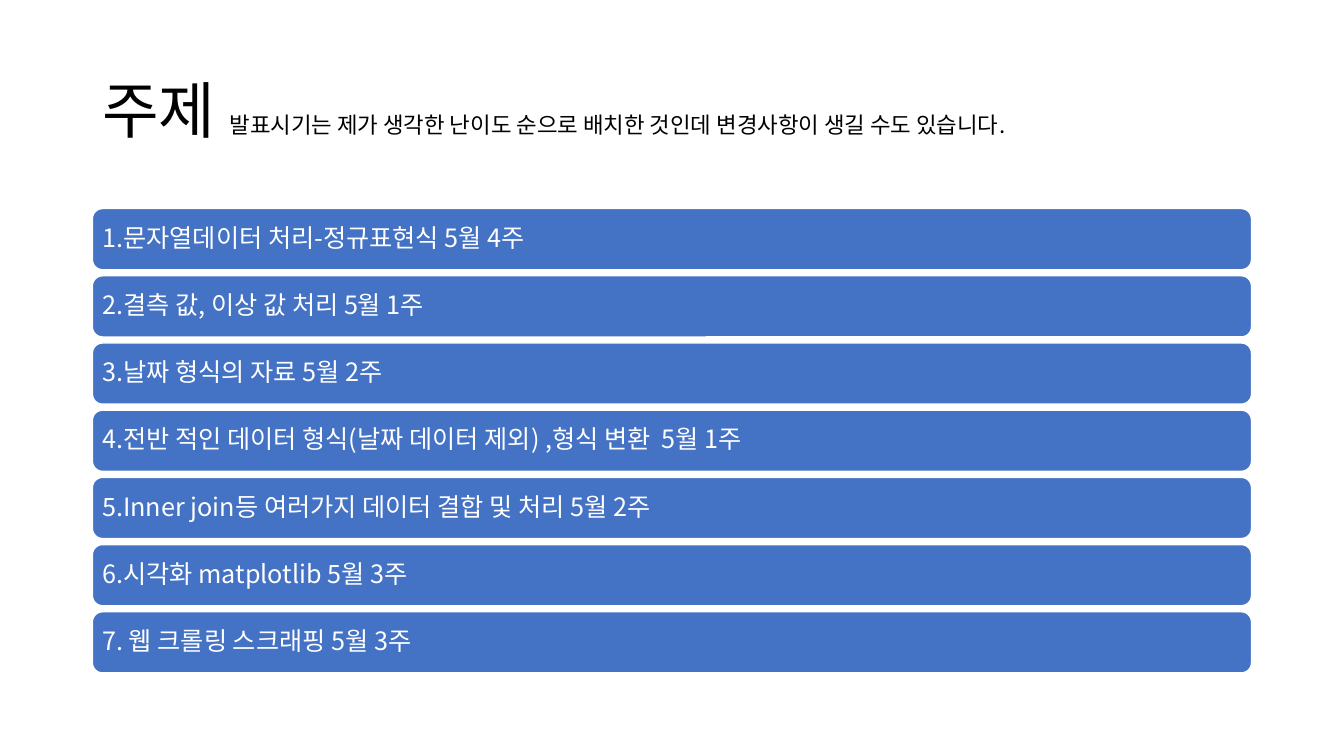
from dataclasses import dataclass

from lxml.etree import SubElement
from pptx import Presentation
from pptx.dml.color import RGBColor
from pptx.enum.shapes import MSO_SHAPE as Preset
from pptx.enum.text import MSO_ANCHOR as Anchor, PP_ALIGN as Align
from pptx.oxml.ns import qn
from pptx.util import Pt

FONT = "Noto Sans CJK KR"
BLACK, WHITE, BLUE = "000000", "FFFFFF", "4472C4"
LEFT, WIDTH = 66, 828
BAR_TOP, BAR_HEIGHT, BAR_PITCH = 149, 43.7, 48


@dataclass
class Topic:
    title: str
    month: int
    week: int


TOPICS = [
    Topic("1.문자열데이터 처리-정규표현식", 5, 4),
    Topic("2.결측 값, 이상 값 처리", 5, 1),
    Topic("3.날짜 형식의 자료", 5, 2),
    Topic("4.전반 적인 데이터 형식(날짜 데이터 제외) ,형식 변환 ", 5, 1),
    Topic("5.Inner join등 여러가지 데이터 결합 및 처리", 5, 2),
    Topic("6.시각화 matplotlib", 5, 3),
    Topic("7. 웹 크롤링 스크래핑", 5, 3),
]


def color(value: str) -> RGBColor:
    return RGBColor.from_string(value)


def style_span(span, size: float, ink: str) -> None:
    span.font.size = Pt(size)
    span.font.name = FONT
    span.font.color.rgb = color(ink)
    # Korean glyphs take the East Asian typeface
    SubElement(span.font._element, qn("a:ea"), typeface=FONT)


def style_frame(frame) -> None:
    frame.word_wrap = True
    frame.vertical_anchor = Anchor.MIDDLE
    para = frame.paragraphs[0]
    para.alignment = Align.LEFT
    para.line_spacing = 0.9


def draw_heading(page, title: str, remark: str) -> None:
    box = page.shapes.add_textbox(Pt(LEFT), Pt(28.75), Pt(WIDTH), Pt(104.4))
    style_frame(box.text_frame)
    para = box.text_frame.paragraphs[0]
    for text, size in ((title, 44), (remark, 16)):
        span = para.add_run()
        span.text = text
        style_span(span, size, BLACK)


def draw_topic(page, topic: Topic, top: float) -> None:
    bar = page.shapes.add_shape(
        Preset.ROUNDED_RECTANGLE, Pt(LEFT), Pt(top), Pt(WIDTH), Pt(BAR_HEIGHT))
    bar.shadow.inherit = False
    bar.fill.solid()
    bar.fill.fore_color.rgb = color(BLUE)
    bar.line.color.rgb = color(WHITE)
    bar.line.width = Pt(1)
    frame = bar.text_frame
    frame.text = f"{topic.title} {topic.month}월 {topic.week}주"
    style_frame(frame)
    # The rounded corners add about 2 pt to the inset
    frame.margin_left = frame.margin_right = Pt(5)
    style_span(frame.paragraphs[0].runs[0], 18, WHITE)


deck = Presentation()
deck.slide_width, deck.slide_height = Pt(960), Pt(540)
page = deck.slides.add_slide(deck.slide_layouts[6])

# Heading with its remark on one line
draw_heading(page, "주제 ", "발표시기는 제가 생각한 난이도 순으로 배치한 것인데 변경사항이 생길 수도 있습니다.")

# Topic bars at an equal pitch
for index, topic in enumerate(TOPICS):
    draw_topic(page, topic, BAR_TOP + index * BAR_PITCH)

deck.save("out.pptx")
